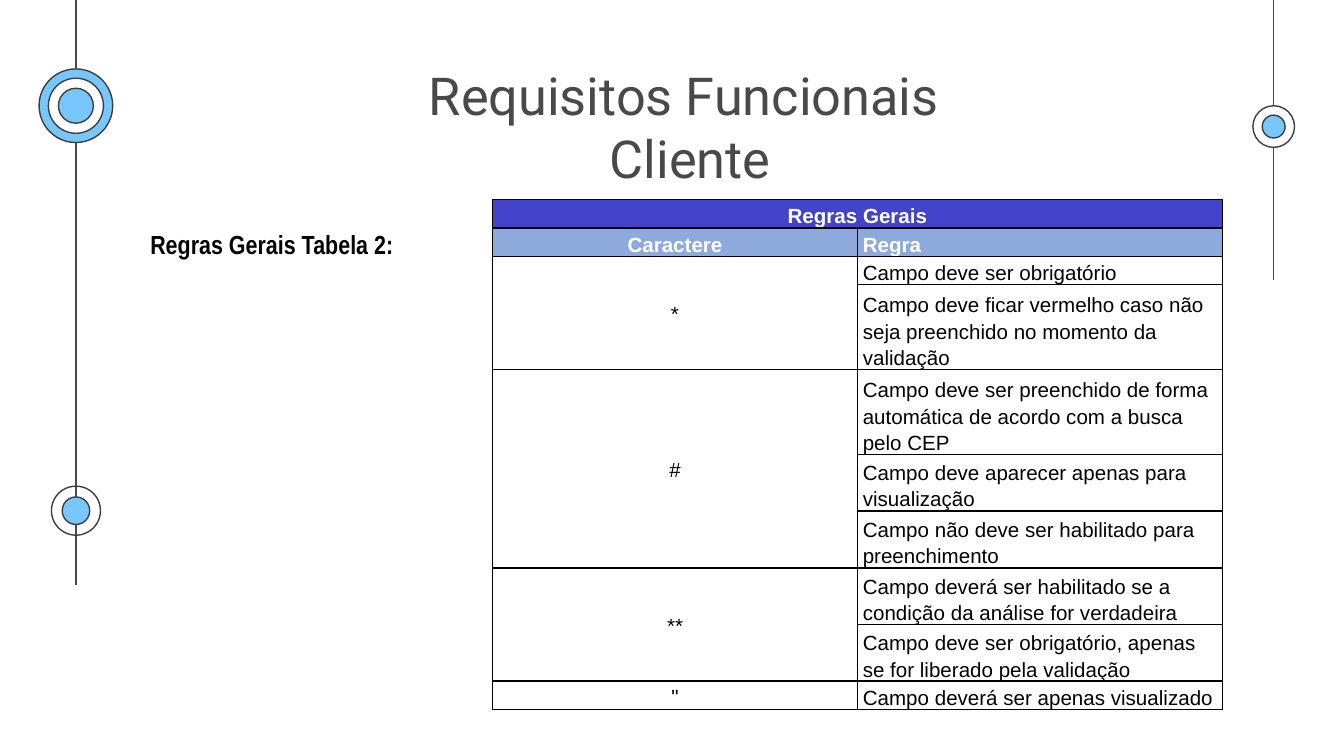
from lxml import etree
from pptx import Presentation
from pptx import util as u
from pptx.dml.color import RGBColor
from pptx.enum import shapes, text
from pptx.oxml.ns import qn

WIDTH = u.Inches(10)
HEIGHT = u.Emu(WIDTH * 9 // 16)
BLUE, WHITE, BLACK, GREY = "77C6FC", "FFFFFF", "000000", "494949"
OUTLINE, HEADER, SUBHEADER = "3D3D3D", "4245CA", "8EA9DB"
CENTER, LEFT, JUSTIFY = text.PP_ALIGN.CENTER, text.PP_ALIGN.LEFT, text.PP_ALIGN.JUSTIFY
MIDDLE, BOTTOM = text.MSO_ANCHOR.MIDDLE, text.MSO_ANCHOR.BOTTOM
ROW_UNIT = 2.06

RULES = [
    ("*", [
        ("Campo deve ser obrigatório", 1),
        ("Campo deve ficar vermelho caso não seja preenchido no momento da validação", 3),
    ]),
    ("#", [
        ("Campo deve ser preenchido de forma automática de acordo com a busca pelo CEP", 3),
        ("Campo deve aparecer apenas para visualização", 2),
        ("Campo não deve ser habilitado para preenchimento", 2),
    ]),
    ("**", [
        ("Campo deverá ser habilitado se a condição da análise for verdadeira", 2),
        ("Campo deve ser obrigatório, apenas se for liberado pela validação", 2),
    ]),
    ('"', [("Campo deverá ser apenas visualizado", 1)]),
]


def share(percent):
    """Return a length as a percentage of the slide width."""
    return u.Emu(round(WIDTH * percent / 100))


def color(code):
    """Turn a hex string into a colour."""
    return RGBColor.from_string(code)


def set_all(target, values):
    """Set attributes of an object from a dict."""
    for name, value in values.items():
        setattr(target, name, value)


def write(frame, words, align, spacing, code, font):
    """Write one formatted paragraph into a text frame."""
    para = frame.paragraphs[0]
    para.text = words
    set_all(para, {"alignment": align, "line_spacing": spacing})
    for span in para.runs:
        set_all(span.font, font)
        span.font.color.rgb = color(code)


def add_text(page, area, words, align, code, font, inset):
    """Add a wrapping text box."""
    box = page.shapes.add_textbox(*map(share, area))
    vertical, horizontal = inset
    set_all(box.text_frame, {
        "word_wrap": True,
        "margin_left": share(horizontal), "margin_right": share(horizontal),
        "margin_top": share(vertical), "margin_bottom": share(vertical),
    })
    write(box.text_frame, words, align, 1.0, code, font)


def add_stem(page, x, bottom):
    """Add a vertical line from the top edge of the slide."""
    stem = page.shapes.add_connector(
        shapes.MSO_CONNECTOR.STRAIGHT, share(x), 0, share(x), share(bottom))
    stem.line.color.rgb = color(GREY)
    stem.line.width = u.Pt(0.75)
    etree.SubElement(stem.element.spPr, qn("a:effectLst"))


def add_target(page, x, y, rings):
    """Add concentric circles given as diameter and fill."""
    for size, fill in rings:
        ring = page.shapes.add_shape(
            shapes.MSO_SHAPE.OVAL, share(x - size / 2), share(y - size / 2),
            share(size), share(size))
        ring.shadow.inherit = False
        if fill:
            ring.fill.solid()
            ring.fill.fore_color.rgb = color(fill)
        else:
            ring.fill.background()
        ring.line.color.rgb = color(OUTLINE)
        ring.line.width = u.Pt(0.75)


def add_borders(cell):
    """Draw thin black borders on the four sides of a cell."""
    props = cell._tc.get_or_add_tcPr()
    for index, side in enumerate(("a:lnL", "a:lnR", "a:lnT", "a:lnB")):
        edge = etree.Element(qn(side), w=str(u.Pt(1)))
        fill = etree.SubElement(edge, qn("a:solidFill"))
        etree.SubElement(fill, qn("a:srgbClr"), val=BLACK)
        props.insert(index, edge)


def fill_cell(cell, words, align, anchor, code=BLACK, fill=None):
    """Write and format one table cell."""
    set_all(cell, {
        "vertical_anchor": anchor, "margin_left": share(0.4),
        "margin_right": share(0.4), "margin_top": 0, "margin_bottom": 0,
    })
    if fill:
        cell.fill.solid()
        cell.fill.fore_color.rgb = color(fill)
    font = {"name": "Arial", "size": u.Pt(11), "bold": fill is not None}
    write(cell.text_frame, words, align, 1.15, code, font)


def add_rules(page):
    """Add the table of general rules."""
    lines = [1, 1] + [count for _, group in RULES for _, count in group]
    table = page.shapes.add_table(
        len(lines), 2, share(36.65), share(14.85), share(54.3),
        share(sum(lines) * ROW_UNIT)).table
    set_all(table, {"first_row": False, "horz_banding": False})
    for row, count in zip(table.rows, lines):
        row.height = share(count * ROW_UNIT)
    for cell in table.iter_cells():
        cell.fill.background()
        add_borders(cell)

    table.cell(0, 0).merge(table.cell(0, 1))
    fill_cell(table.cell(0, 0), "Regras Gerais", CENTER, BOTTOM, WHITE, HEADER)
    fill_cell(table.cell(1, 0), "Caractere", CENTER, BOTTOM, WHITE, SUBHEADER)
    fill_cell(table.cell(1, 1), "Regra", LEFT, BOTTOM, WHITE, SUBHEADER)
    top = 2
    for mark, group in RULES:
        if len(group) > 1:
            table.cell(top, 0).merge(table.cell(top + len(group) - 1, 0))
        fill_cell(table.cell(top, 0), mark, CENTER, MIDDLE)
        for offset, (rule, _) in enumerate(group):
            fill_cell(table.cell(top + offset, 1), rule, LEFT, BOTTOM)
        top += len(group)


def main():
    """Build and save the slide."""
    deck = Presentation()
    set_all(deck, {"slide_width": WIDTH, "slide_height": HEIGHT})
    page = deck.slides.add_slide(deck.slide_layouts[6])
    left, right = 5.65, 94.77
    add_stem(page, left, 43.5)
    add_stem(page, right, 20.8)
    add_target(page, left, 38, [(3.65, None), (2.05, BLUE)])
    add_target(page, right, 9.42, [(3.1, WHITE), (1.7, BLUE)])
    add_target(page, left, 7.87, [(5.48, BLUE), (4.1, WHITE), (2.6, BLUE)])
    add_text(page, (30.55, 3.7, 41.6, 6.3), "Requisitos Funcionais \vCliente",
             CENTER, GREY, {"name": "Roboto", "size": u.Pt(28)}, (1, 1))
    add_text(page, (10.2, 16.5, 28, 5.7), "Regras Gerais Tabela 2:", JUSTIFY,
             BLACK, {"name": "Arial Narrow", "size": u.Pt(14), "bold": True}, (0.5, 1))
    add_rules(page)
    deck.save("out.pptx")


if __name__ == "__main__":
    main()
